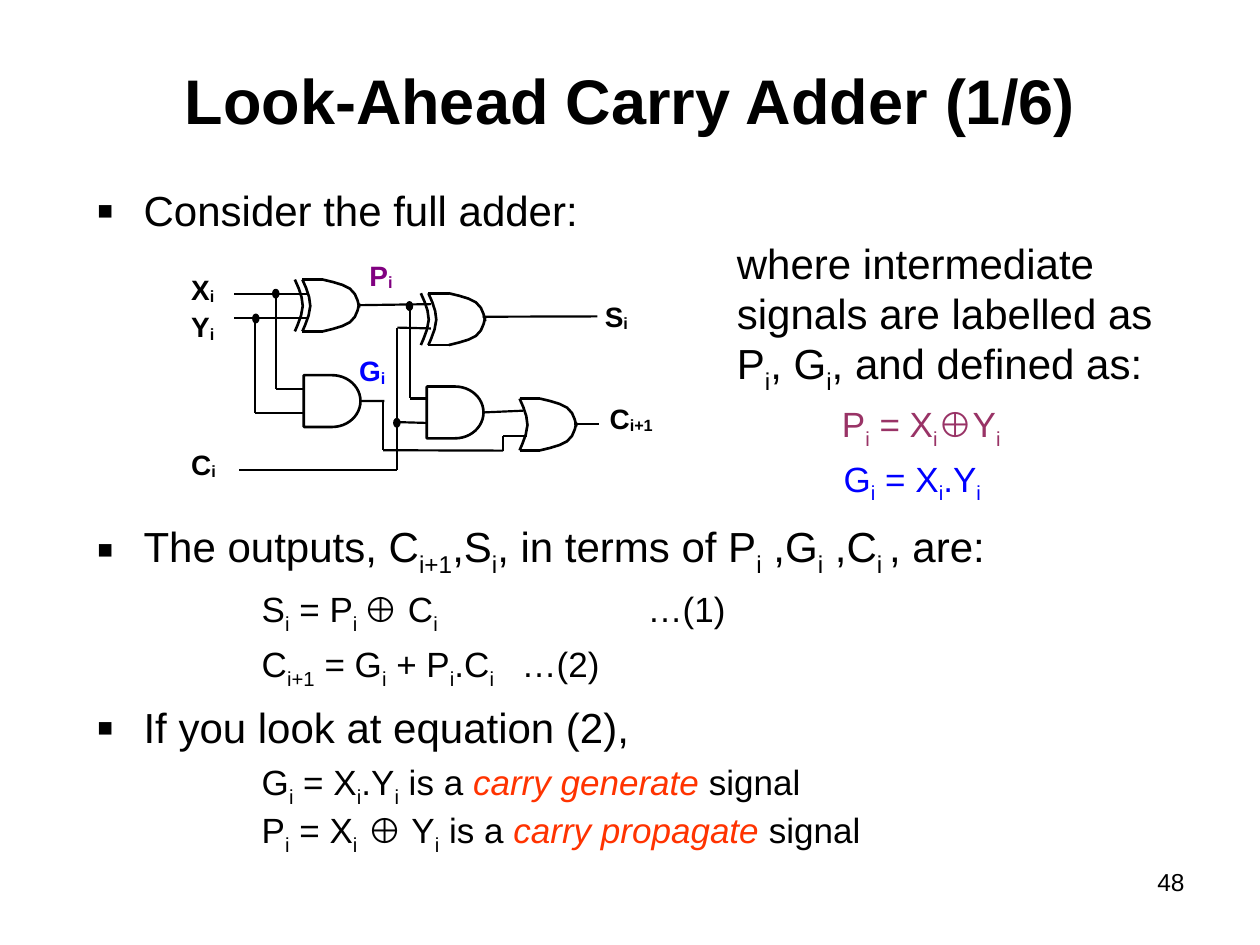
import pptx
import pptx.dml.color
import pptx.enum.shapes
import pptx.enum.text
import pptx.oxml.ns
import pptx.util
from lxml import etree

BLACK, BLUE, PURPLE, PLUM, RED = "000000", "0000FF", "800080", "993366", "FF3300"
GATE_HEIGHT = 29.6
BULLET_INDENT, EQUATION_INDENT = 27, 94.5
WIRE_WIDTH, GATE_WIDTH = 1.25, 1.5

# Bezier control points, in points from a gate's top left corner
GATE_BACK = [(0, 0), (2.3, 5), (4.5, 10), (4.5, 15.1), (4.5, 20.2), (0.9, 27.4), (0, 29.6)]
GATE_NOSE = [(11.7, 0), (17.5, 1.4), (23.6, 2.7), (27.2, 5.2), (30.8, 7.9), (31.7, 12), (32.5, 16)]

WIRES = [
    (134, 168, 175.7, 168), (134, 181.6, 175.7, 181.6),              # X, Y inputs
    (157.5, 168, 157.5, 222.3), (157.5, 222.3, 173.5, 222.3),        # X to first AND
    (145.7, 181.6, 145.7, 236), (145.7, 236, 173.5, 236),            # Y to first AND
    (205.2, 174.4, 246.2, 173.8),                                    # P
    (234.2, 173.8, 234.2, 227.7), (234.2, 227.7, 243.4, 227.7),      # P to second AND
    (136.8, 268.4, 227.1, 268.4), (227.1, 268.4, 227.1, 187.2),      # carry in
    (227.1, 187.2, 246.2, 187.7), (227.1, 241.2, 244.1, 241.7),      # carry to gates
    (219, 228.6, 219, 257.3), (219, 257.3, 287.5, 257.5),            # G
    (287.5, 257.5, 287.5, 249.3), (287.5, 249.3, 301, 249.3),        # G to OR
    (275.8, 181, 341.3, 180.8), (328.3, 242.4, 342, 242.4),          # S, carry out
]
JUNCTIONS = [(146.2, 182), (157.6, 167.8), (226.8, 241.6), (234, 174.9)]

# text, left, top, width, height, colour
SIGNAL_LABELS = [
    ("S{i}", 338.5, 167.4, 33, 35, BLACK),
    ("C{i+1}", 341.3, 225.7, 49, 28, BLACK),
    ("C{i}", 102.2, 252, 34, 24, BLACK),
    ("P{i}", 204, 144, 36, 27, PURPLE),
    ("G{i}", 198.2, 198.7, 39, 22, BLUE),
]


def rgb(value):
    return pptx.dml.color.RGBColor.from_string(value)


def points(*values):
    return [pptx.util.Pt(value) for value in values]


def add_text_frame(slide, left, top, width, height):
    frame = slide.shapes.add_textbox(*points(left, top, width, height)).text_frame
    frame.word_wrap = True
    return frame


def add_paragraph(frame, space_before=0, left=0, bullet=False, tab=None):
    """Use the empty first paragraph, then append further ones."""
    first = frame.paragraphs[0]
    paragraph = frame.add_paragraph() if first.runs else first
    properties = paragraph._p.get_or_add_pPr()
    if left:
        properties.set("marL", str(pptx.util.Pt(left)))
    qn = pptx.oxml.ns.qn
    if bullet:
        properties.set("indent", str(pptx.util.Pt(-left)))
        color = etree.SubElement(properties, qn("a:buClr"))
        etree.SubElement(color, qn("a:srgbClr"), val=BLACK)
        etree.SubElement(properties, qn("a:buSzPct"), val="120000")
        etree.SubElement(properties, qn("a:buFont"), typeface="Arial")
        etree.SubElement(properties, qn("a:buChar"), char="▪")
    if tab:
        tabs = etree.SubElement(properties, qn("a:tabLst"))
        etree.SubElement(tabs, qn("a:tab"), pos=str(pptx.util.Pt(tab)), algn="l")
    if space_before:
        paragraph.space_before = pptx.util.Pt(space_before)
    return paragraph


def add_runs(paragraph, text, size, color=BLACK, bold=False, italic=False, drop=25):
    """Add text in which {braces} enclose subscripts, lowered by drop percent."""
    for index, part in enumerate(text.replace("}", "{").split("{")):
        if not part:
            continue
        run = paragraph.add_run()
        run.text = part
        font = run.font
        font.name, font.size = "Arial", pptx.util.Pt(size)
        font.bold, font.italic = bold, italic
        font.color.rgb = rgb(color)
        if index % 2:
            run._r.get_or_add_rPr().set("baseline", str(-drop * 1000))


def add_bullet(frame, text, space_before=0):
    paragraph = add_paragraph(frame, space_before, BULLET_INDENT, bullet=True)
    add_runs(paragraph, text, 24)


def add_equation(frame, text, space_before=0, tab=None):
    paragraph = add_paragraph(frame, space_before, EQUATION_INDENT, tab=tab)
    add_runs(paragraph, text, 20)
    return paragraph


def add_definition(frame, definition, term, space_before=0):
    paragraph = add_equation(frame, definition + " is a ", space_before)
    add_runs(paragraph, term, 20, RED, italic=True)
    add_runs(paragraph, " signal", 20)


def style_outline(shape, width):
    shape.line.color.rgb = rgb(BLACK)
    shape.line.width = pptx.util.Pt(width)


def add_wire(slide, x1, y1, x2, y2, width=WIRE_WIDTH):
    wire = slide.shapes.add_connector(
        pptx.enum.shapes.MSO_CONNECTOR.STRAIGHT, *points(x1, y1, x2, y2))
    style_outline(wire, width)
    etree.SubElement(wire._element.spPr, pptx.oxml.ns.qn("a:effectLst"))
    return wire


def add_preset(slide, preset, left, top, width, height, line_width, fill=None):
    shape = slide.shapes.add_shape(preset, *points(left, top, width, height))
    shape.shadow.inherit = False
    if fill:
        shape.fill.solid()
        shape.fill.fore_color.rgb = rgb(fill)
    else:
        shape.fill.background()
    style_outline(shape, line_width)
    return shape


def bezier_points(controls, steps=3):
    """Sample a chain of cubic curves."""
    samples = [controls[0]]
    for start in range(0, len(controls) - 1, 3):
        a, b, c, d = controls[start:start + 4]
        for step in range(1, steps + 1):
            t = step / steps
            u = 1 - t
            weights = (u ** 3, 3 * u * u * t, 3 * u * t * t, t ** 3)
            samples.append(tuple(sum(w * p[axis] for w, p in zip(weights, (a, b, c, d)))
                                 for axis in (0, 1)))
    return samples


def add_curve(slide, left, top, controls):
    outline = [points(left + x, top + y) for x, y in bezier_points(controls)]
    builder = slide.shapes.build_freeform(*outline[0])
    builder.add_line_segments(outline[1:], close=False)
    curve = builder.convert_to_shape()
    curve.shadow.inherit = False
    curve.fill.background()
    style_outline(curve, GATE_WIDTH)


def add_or_gate(slide, left, top, exclusive=False):
    add_curve(slide, left, top, GATE_BACK)
    if exclusive:
        add_curve(slide, left - 4.3, top, GATE_BACK)
    for y in (top, top + GATE_HEIGHT):
        add_wire(slide, left, y, left + 11.7, y, GATE_WIDTH)
    add_curve(slide, left, top, GATE_NOSE)
    add_curve(slide, left, top, [(x, GATE_HEIGHT - y) for x, y in GATE_NOSE])


def add_and_gate(slide, left, top, output_x, output_y):
    gate = add_preset(slide, pptx.enum.shapes.MSO_SHAPE.FLOWCHART_DELAY,
                      left, top, 32.4, GATE_HEIGHT, GATE_WIDTH)
    output = add_wire(slide, left + 32.4, top + GATE_HEIGHT / 2, output_x, output_y)
    output.begin_connect(gate, 3)


def add_full_adder(slide):
    for wire in WIRES:
        add_wire(slide, *wire)
    for x, y in JUNCTIONS:
        add_preset(slide, pptx.enum.shapes.MSO_SHAPE.OVAL,
                   x - 1.5, y - 2.2, 3, 4.4, WIRE_WIDTH, BLACK)
    add_or_gate(slide, 172.8, 159.8, exclusive=True)
    add_or_gate(slide, 244.8, 167.6, exclusive=True)
    add_or_gate(slide, 296.9, 227.8)
    add_and_gate(slide, 173.6, 214.4, 219.6, 229.1)
    add_and_gate(slide, 243.9, 220.9, 298.8, 234.7)
    inputs = add_text_frame(slide, 102.2, 150, 34, 42)
    for name in ("X{i}", "Y{i}"):
        paragraph = add_paragraph(inputs)
        paragraph.line_spacing = 1.1
        add_runs(paragraph, name, 16, bold=True, drop=10)
    for text, left, top, width, height, color in SIGNAL_LABELS:
        label = add_paragraph(add_text_frame(slide, left, top, width, height))
        add_runs(label, text, 16, color, bold=True, drop=10)


def add_intermediate_signals(slide):
    frame = add_text_frame(slide, 414, 132, 270, 150)
    add_runs(add_paragraph(frame),
             "where intermediate signals are labelled as P{i}, G{i}, and defined as:", 24)
    for text, color, left in (("P{i} = X{i}⊕Y{i}", PLUM, 60), ("G{i} = X{i}.Y{i}", BLUE, 61)):
        add_runs(add_paragraph(frame, 4, left), text, 20, color)


def add_outputs(slide):
    frame = add_text_frame(slide, 48, 294, 612, 186)
    add_bullet(frame, "The outputs, C{i+1},S{i}, in terms of P{i} ,G{i} ,C{i }, are:")
    add_equation(frame, "S{i} = P{i }⊕ C{i}\t…(1)", 5.5, tab=220.5)
    add_equation(frame, "C{i+1} = G{i} + P{i}.C{i}\t…(2)", 4, tab=148.5)
    add_bullet(frame, "If you look at equation (2),", 6.5)
    add_definition(frame, "G{i} = X{i}.Y{i}", "carry generate", 5)
    add_definition(frame, "P{i} = X{i} ⊕ Y{i}", "carry propagate")


def main():
    deck = pptx.Presentation()
    deck.slide_width, deck.slide_height = points(720, 540)
    slide = deck.slides.add_slide(deck.slide_layouts[6])

    title_frame = add_text_frame(slide, 54, 12, 612, 90)
    title_frame.vertical_anchor = pptx.enum.text.MSO_ANCHOR.MIDDLE
    title = add_paragraph(title_frame)
    title.alignment = pptx.enum.text.PP_ALIGN.CENTER
    add_runs(title, "Look-Ahead Carry Adder (1/6)", 36, bold=True)

    add_bullet(add_text_frame(slide, 48, 102, 612, 42), "Consider the full adder:")
    add_intermediate_signals(slide)
    add_outputs(slide)
    add_full_adder(slide)

    page_number = add_paragraph(add_text_frame(slide, 516, 492, 168, 37))
    page_number.alignment = pptx.enum.text.PP_ALIGN.RIGHT
    add_runs(page_number, "48", 14)
    deck.save("out.pptx")


if __name__ == "__main__":
    main()
